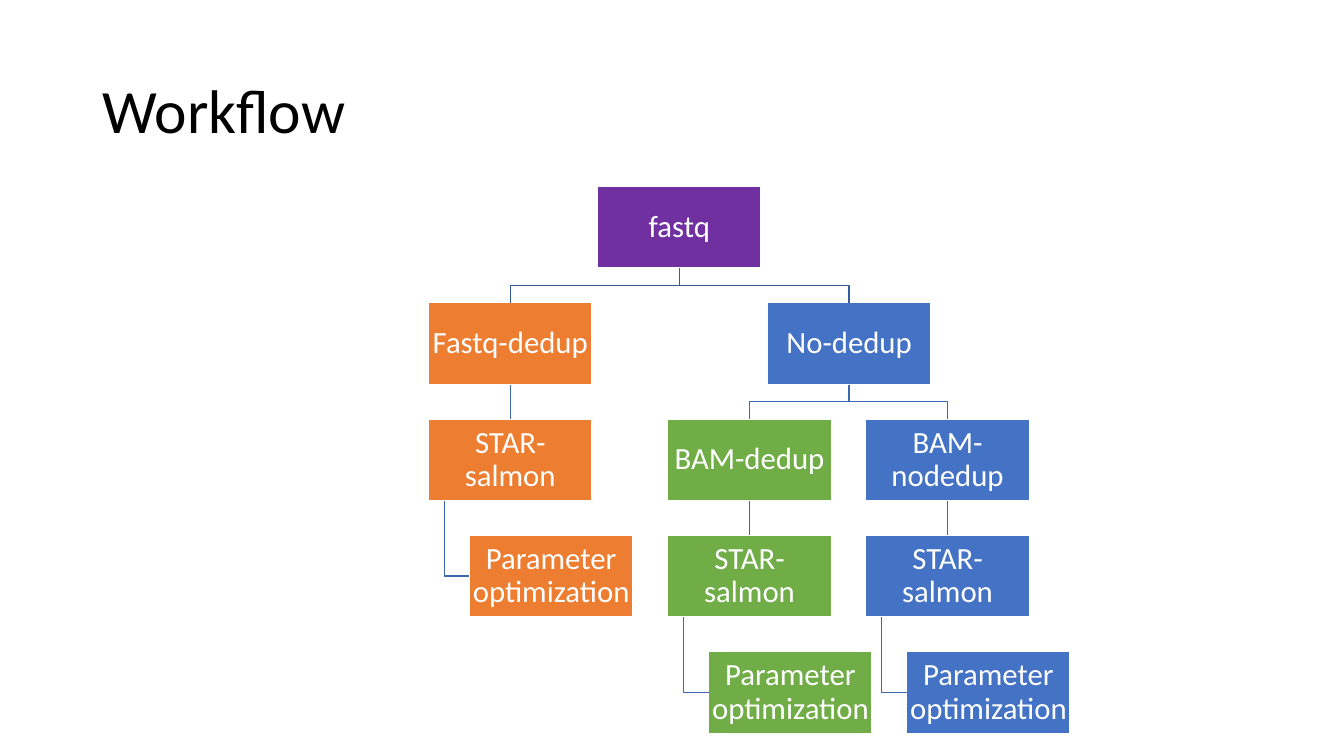
import pptx
import pptx.util
import pptx.dml.color
import pptx.enum.shapes
import pptx.enum.text
import pptx.oxml.ns
import lxml.etree

Cm, Pt = pptx.util.Cm, pptx.util.Pt
RGB = pptx.dml.color.RGBColor.from_string
PP_ALIGN = pptx.enum.text.PP_ALIGN
COLORS = {
    "black": "000000", "white": "FFFFFF", "purple": "7030A0",
    "orange": "ED7D31", "blue": "4472C4", "green": "70AD47",
    "root line": "365B9D", "line": "3E67B2",
}

prs = pptx.Presentation()
prs.slide_width, prs.slide_height = Cm(33.87), Cm(19.05)
s = prs.slides.add_slide(prs.slide_layouts[6])


def add_text(sp, text, size, color, align):
    tf = sp.text_frame
    tf.word_wrap = True
    tf.vertical_anchor = pptx.enum.text.MSO_ANCHOR.MIDDLE
    p = tf.paragraphs[0]
    p.alignment = align
    p.line_spacing = 0.9
    r = p.add_run()
    r.text = text
    r.font.name = "Calibri"
    r.font.size = Pt(size)
    r.font.color.rgb = RGB(COLORS[color])
    return tf


def style_line(sp, color):
    sp.line.color.rgb = RGB(COLORS[color])
    sp.line.width = Pt(1)


# Title
title = s.shapes.add_textbox(Cm(2.33), Cm(1.01), Cm(29.21), Cm(3.68))
add_text(title, "Workflow", 44, "black", PP_ALIGN.LEFT)

# Boxes: key, text, left in cm, row, colour
BOX_W, BOX_H, TOP, ROW_STEP = 4.12, 2.06, 4.7, 2.93
BOXES = [
    ("root", "fastq", 15.06, 0, "purple"),
    ("fq", "Fastq-dedup", 10.8, 1, "orange"),
    ("fq star", "STAR-salmon", 10.8, 2, "orange"),
    ("fq param", "Parameter optimization", 11.83, 3, "orange"),
    ("no", "No-dedup", 19.34, 1, "blue"),
    ("bam", "BAM-dedup", 16.83, 2, "green"),
    ("bam star", "STAR-salmon", 16.83, 3, "green"),
    ("bam param", "Parameter optimization", 17.86, 4, "green"),
    ("nobam", "BAM-nodedup", 21.82, 2, "blue"),
    ("nobam star", "STAR-salmon", 21.82, 3, "blue"),
    ("nobam param", "Parameter optimization", 22.85, 4, "blue"),
]
boxes = {}
for key, text, left, row, color in BOXES:
    sp = s.shapes.add_shape(pptx.enum.shapes.MSO_SHAPE.RECTANGLE, Cm(left),
                            Cm(TOP + row * ROW_STEP), Cm(BOX_W), Cm(BOX_H))
    sp.shadow.inherit = False
    sp.fill.solid()
    sp.fill.fore_color.rgb = RGB(COLORS[color])
    style_line(sp, "white")
    tf = add_text(sp, text, 22, "white", PP_ALIGN.CENTER)
    tf.margin_left = tf.margin_right = tf.margin_top = tf.margin_bottom = Cm(0.04)
    boxes[key] = sp

# Straight links from a box to the one below it
for upper, lower in [("fq", "fq star"), ("bam", "bam star"), ("nobam", "nobam star")]:
    link = s.shapes.add_connector(pptx.enum.shapes.MSO_CONNECTOR.STRAIGHT, 0, 0, 0, 0)
    link.begin_connect(boxes[upper], 2)
    link.end_connect(boxes[lower], 0)
    style_line(link, "line")
    lxml.etree.SubElement(link._element.spPr, pptx.oxml.ns.qn("a:effectLst"))

# Bent links: forks between rows, and hooks to the indented boxes
HOOK_INSET = Cm(0.4)
BENT_LINKS = [
    ("root", "fq", "root line"), ("root", "no", "root line"),
    ("no", "bam", "line"), ("no", "nobam", "line"),
    ("fq star", "fq param", "line"), ("bam star", "bam param", "line"),
    ("nobam star", "nobam param", "line"),
]
for parent, child, color in BENT_LINKS:
    a, b = boxes[parent], boxes[child]
    bottom = a.top + a.height
    if child.endswith("param"):
        x, y = a.left + HOOK_INSET, b.top + b.height // 2
        points = [(x, bottom), (x, y), (b.left, y)]
    else:
        x1, x2 = a.left + a.width // 2, b.left + b.width // 2
        y = (bottom + b.top) // 2
        points = [(x1, bottom), (x1, y), (x2, y), (x2, b.top)]
    fb = s.shapes.build_freeform(*points[0])
    fb.add_line_segments(points[1:], close=False)
    sp = fb.convert_to_shape()
    sp.shadow.inherit = False
    sp.fill.background()
    style_line(sp, color)

prs.save("out.pptx")
